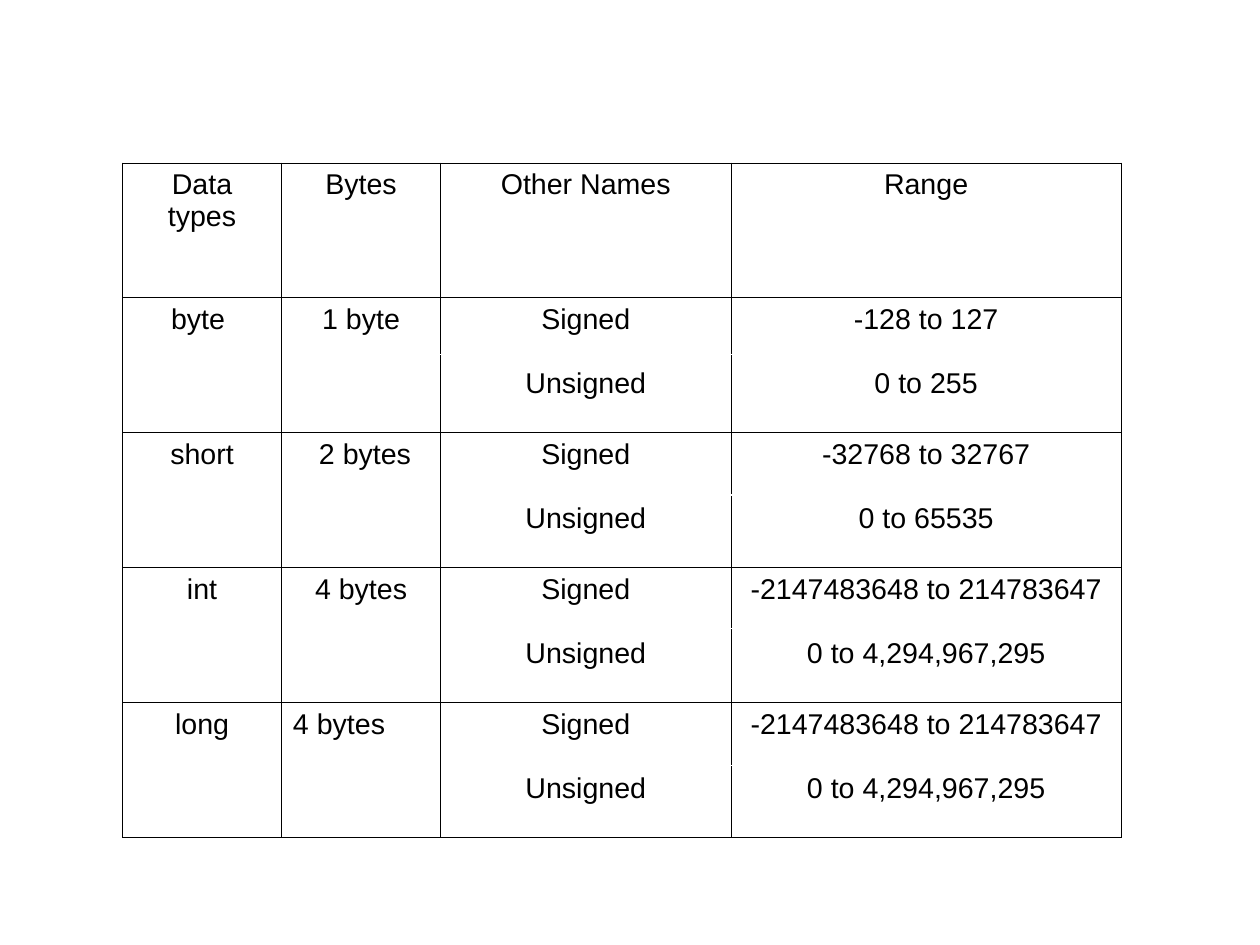
from lxml import etree
from pptx import Presentation
from pptx.dml.color import RGBColor
from pptx.enum.shapes import MSO_CONNECTOR
from pptx.enum.text import PP_ALIGN
from pptx.oxml.ns import qn
from pptx.util import Pt

BLACK = RGBColor(0, 0, 0)
WHITE = RGBColor(255, 255, 255)

SLIDE_WIDTH, SLIDE_HEIGHT = 793.75, 595.25
LEFT, TOP, ROW_HEIGHT = 77.2, 102.7, 85
COLUMN_WIDTHS = (100.2, 100.2, 183, 245.8)
HEADERS = ("Data types", "Bytes", "Other Names", "Range")
# type, size, signed range, unsigned range
TYPES = (
    ("byte ", "1 byte", "-128 to 127", "0 to 255"),
    ("short", " 2 bytes", "-32768 to 32767", "0 to 65535"),
    ("int", "4 bytes", "-2147483648 to 214783647", "0 to 4,294,967,295"),
    ("long", "4 bytes", "-2147483648 to 214783647", "0 to 4,294,967,295"),
)
# start x, end x, y
SEPARATORS = (
    (273.6, 701.3, 223.2),
    (280.8, 706.3, 311.8),
    (280.8, 706.3, 396),
    (280.8, 706.3, 482.4),
)


class SlideBuilder:
    """Holds the style and the current slide."""

    font, size, line_width, paragraph_gap = "Arial", 18, 0.75, 20.3

    def __init__(self, slide):
        """Keep the slide to draw on."""
        self.slide = slide

    def border(self, cell):
        """Give a cell a thin black line on all four sides."""
        properties = cell._tc.get_or_add_tcPr()
        for index, side in enumerate(("a:lnL", "a:lnR", "a:lnT", "a:lnB")):
            line = etree.Element(qn(side), w=str(Pt(self.line_width)))
            fill = etree.SubElement(line, qn("a:solidFill"))
            etree.SubElement(fill, qn("a:srgbClr"), val=str(BLACK))
            properties.insert(index, line)

    def cell(self, cell, text):
        """Write centred, spaced paragraphs into a plain bordered cell."""
        cell.fill.background()
        self.border(cell)
        cell.text = text
        for index, paragraph in enumerate(cell.text_frame.paragraphs):
            paragraph.alignment = PP_ALIGN.CENTER
            paragraph.space_before = Pt(self.paragraph_gap if index else 0)
            font = paragraph.runs[0].font
            font.name, font.size, font.bold = self.font, Pt(self.size), False
            font.color.rgb = BLACK

    def table(self, left, top, widths, row_height, rows):
        """Add a table with equal row heights and return it."""
        table = self.slide.shapes.add_table(
            len(rows), len(widths), Pt(left), Pt(top),
            Pt(sum(widths)), Pt(row_height * len(rows))).table
        table.first_row = table.horz_banding = False
        for column, width in zip(table.columns, widths):
            column.width = Pt(width)
        for r, row in enumerate(rows):
            for c, text in enumerate(row):
                self.cell(table.cell(r, c), text)
        return table

    def separator(self, start, end, y):
        """Add a white horizontal line."""
        line = self.slide.shapes.add_connector(
            MSO_CONNECTOR.STRAIGHT, Pt(start), Pt(y), Pt(end), Pt(y))
        line.line.color.rgb = WHITE
        line.line.width = Pt(self.line_width)
        etree.SubElement(line._element.spPr, qn("a:effectLst"))


def main():
    """Build and save the data type slide."""
    presentation = Presentation()
    presentation.slide_width = Pt(SLIDE_WIDTH)
    presentation.slide_height = Pt(SLIDE_HEIGHT)
    builder = SlideBuilder(
        presentation.slides.add_slide(presentation.slide_layouts[6]))
    rows = [HEADERS] + [
        (name, size, "Signed\nUnsigned", f"{signed}\n{unsigned}")
        for name, size, signed, unsigned in TYPES]
    table = builder.table(LEFT, TOP, COLUMN_WIDTHS, ROW_HEIGHT, rows)
    long_size = table.cell(len(TYPES), 1)
    long_size.text_frame.paragraphs[0].alignment = PP_ALIGN.LEFT
    for start, end, y in SEPARATORS:
        builder.separator(start, end, y)
    presentation.save("out.pptx")


main()
